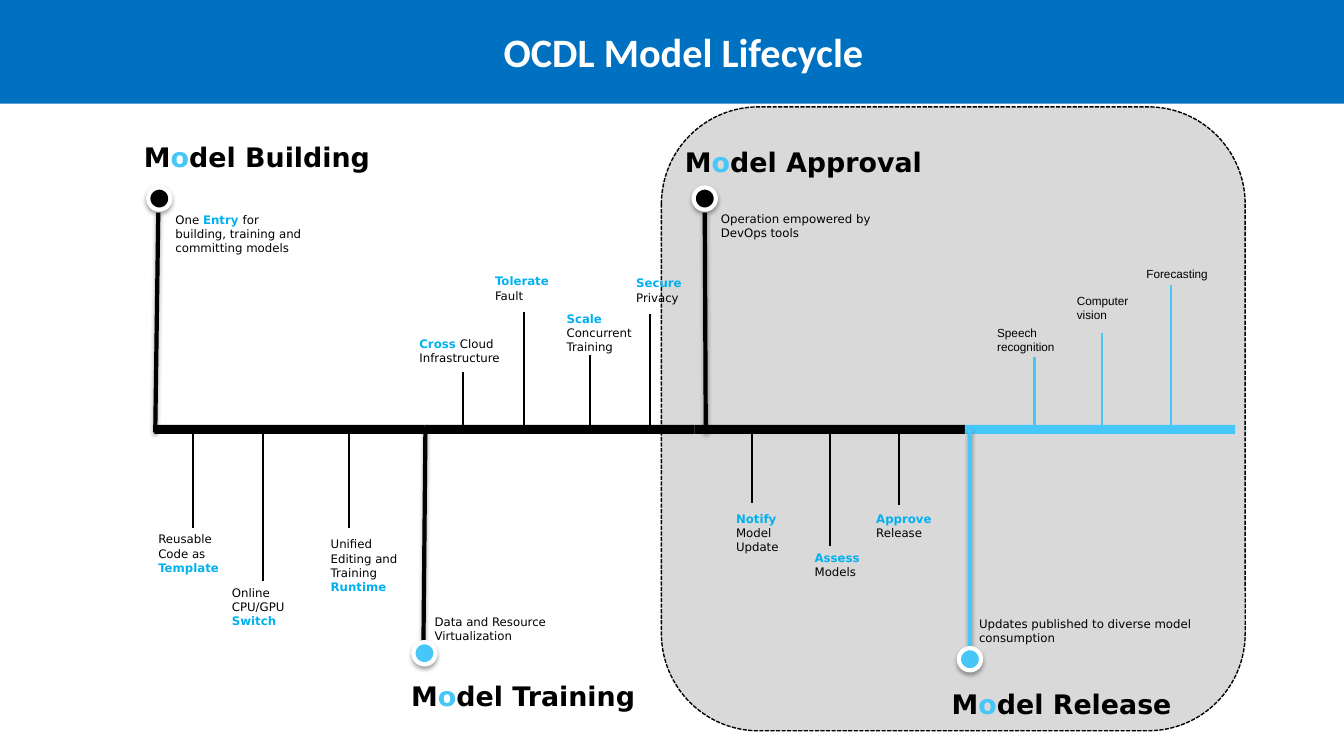
import pptx
import pptx.util
import pptx.dml.color
import pptx.enum.dml
import pptx.enum.shapes
import pptx.enum.text
import pptx.oxml
import pptx.oxml.ns

Inches, Pt = pptx.util.Inches, pptx.util.Pt
SHAPE = pptx.enum.shapes.MSO_SHAPE
ALIGN = pptx.enum.text.PP_ALIGN
BLACK, WHITE, SKY, ACCENT = "000000", "FFFFFF", "47C6F8", "00B0F0"
SANS = "DejaVu Sans"
BAR_H, MARKER = 0.09, 0.22

STAGES = [
    dict(heading="M*o*del Building", heading_at=(1.02, -2.91),
         bar=BLACK, stem=((0.01, 0.03), (0.04, -2.15)),
         marker=BLACK, marker_at=(0.05, -2.29), font=SANS,
         summary=("One *Entry *for building, training and committing models", 0.21, -2.15, 1.36, 0.42),
         branches=[
             (0.38, 0.98, "Reusable Code as *Template*", 0.04, 1.02, 0.76, 0.42),
             (1.08, 1.5, "Online CPU/GPU *Switch*", 0.77, 1.55, 0.62, 0.42),
             (1.93, 0.98, "Unified\nEditing and Training\n*Runtime*", 1.75, 1.07, 0.71, 0.56)]),
    dict(heading="M*o*del Training", heading_at=(0.98, 2.43),
         bar=BLACK, stem=((0.01, -0.03), (-0.01, 2.11)),
         marker=SKY, marker_at=(0, 2.22), font=SANS,
         summary=("Data and Resource\nVirtualization", 0.1, 1.84, 2.51, 0.28),
         branches=[
             (0.38, -0.57, "*Cross *Cloud Infrastructure", -0.05, -0.92, 0.86, 0.28),
             (0.99, -1.16, "*Tolerate *Fault", 0.7, -1.54, 0.61, 0.28),
             (1.64, -0.74, "*Scale *Concurrent Training", 1.41, -1.17, 0.83, 0.42),
             (2.24, -1.14, "*Secure*\nPrivacy", 2.1, -1.52, 0.61, 0.28)]),
    dict(heading="M*o*del Approval", heading_at=(1.08, -2.86),
         bar=BLACK, stem=((0.11, 0.03), (0.1, -2.15)),
         marker=BLACK, marker_at=(0.1, -2.29), font=SANS,
         summary=("Operation empowered by DevOps tools", 0.26, -2.16, 1.84, 0.28),
         branches=[
             (0.57, 0.73, "*Notify*\nModel Update", 0.41, 0.82, 0.68, 0.42),
             (1.34, 1.16, "*Assess*\nModels", 1.19, 1.2, 0.61, 0.28),
             (2.03, 0.75, "*Approve*\nRelease", 1.8, 0.82, 0.61, 0.28)]),
    dict(heading="M*o*del Release", heading_at=(0.96, 2.51),
         bar=SKY, stem=((0.05, 0), (0.05, 2.17)),
         marker=SKY, marker_at=(0.05, 2.28), font="Arial",
         summary=("Updates published to diverse model consumption", 0.14, 1.86, 2.41, 0.28),
         branches=[
             (0.69, -0.72, "Speech recognition", 0.32, -1.03, 0.74, 0.28),
             (1.36, -0.96, "Computer vision", 1.11, -1.35, 0.61, 0.28),
             (2.04, -1.43, "Forecasting", 1.8, -1.61, 0.61, 0.14)]),
]


def rgb(value):
    return pptx.dml.color.RGBColor.from_string(value)


def set_effects(sp, shadow=False):
    effects = pptx.oxml.parse_xml(
        "<a:effectLst %s/>" % pptx.oxml.ns.nsdecls("a") if not shadow else
        '<a:effectLst %s><a:outerShdw blurRad="%d" dist="%d" dir="5400000" rotWithShape="0">'
        '<a:srgbClr val="000000"><a:alpha val="35000"/></a:srgbClr>'
        "</a:outerShdw></a:effectLst>" % (pptx.oxml.ns.nsdecls("a"), Pt(3), Pt(1.8)))
    sp._element.spPr.append(effects)


def add_block(s, kind, x, y, w, h, fill, line=None, width=1, shadow=False):
    sp = s.shapes.add_shape(kind, Inches(x), Inches(y), Inches(w), Inches(h))
    sp.fill.solid()
    sp.fill.fore_color.rgb = rgb(fill)
    if line:
        sp.line.color.rgb = rgb(line)
        sp.line.width = Pt(width)
    else:
        sp.line.fill.background()
    set_effects(sp, shadow)
    return sp


def add_line(s, start, end, color, width, shadow=False):
    x1, y1, x2, y2 = (Inches(v) for v in start + end)
    c = s.shapes.add_connector(pptx.enum.shapes.MSO_CONNECTOR.STRAIGHT, x1, y1, x2, y2)
    c.line.color.rgb = rgb(color)
    c.line.width = Pt(width)
    set_effects(c, shadow)


def add_text(s, text, x, y, w, h, size=8.4, font=SANS, color=BLACK, accent=ACCENT,
             bold=False, align=ALIGN.LEFT, inset=0):
    tf = s.shapes.add_textbox(Inches(x), Inches(y), Inches(w), Inches(h)).text_frame
    tf.word_wrap = True
    tf.margin_left = tf.margin_right = tf.margin_top = tf.margin_bottom = Inches(inset)
    for i, line in enumerate(text.split("\n")):
        p = tf.add_paragraph() if i else tf.paragraphs[0]
        p.alignment = align
        for j, part in enumerate(line.split("*")):
            if not part:
                continue
            marked = j % 2 == 1
            r = p.add_run()
            r.text = part
            r.font.size = Pt(size)
            r.font.name = font
            r.font.bold = bold or marked
            r.font.color.rgb = rgb(accent if marked else color)


def add_header(s, x, y, w, h):
    add_block(s, SHAPE.RECTANGLE, x, y, w, h, "0070C0")
    add_text(s, "OCDL Model Lifecycle", x + 2.67, y + 0.21, 8.22, 0.61, size=28.8,
             font="Calibri", color=WHITE, bold=True, align=ALIGN.CENTER, inset=0.06)


def add_release_panel(s, x, y, w, h):
    panel = add_block(s, SHAPE.ROUNDED_RECTANGLE, x, y, w, h, "D9D9D9", BLACK)
    panel.line.dash_style = pptx.enum.dml.MSO_LINE.SQUARE_DOT


def add_stage(s, x, y, w, stage):
    def at(point):
        return x + point[0], y + point[1]

    add_block(s, SHAPE.RECTANGLE, x, y - BAR_H / 2, w, BAR_H, stage["bar"])
    root, tip = stage["stem"]
    add_line(s, at(root), at(tip), stage["bar"], 3, shadow=True)
    mx, my = at(stage["marker_at"])
    add_block(s, SHAPE.OVAL, mx - MARKER / 2, my - MARKER / 2, MARKER, MARKER,
              stage["marker"], WHITE, 3, shadow=True)
    hx, hy = at(stage["heading_at"])
    add_text(s, stage["heading"], hx - 1.35, hy, 2.7, 0.42, size=19.2, accent=SKY,
             bold=True, align=ALIGN.CENTER, inset=0.05)
    text, dx, dy, tw, th = stage["summary"]
    add_text(s, text, x + dx, y + dy, tw, th)
    for line_dx, reach, text, dx, dy, tw, th in stage["branches"]:
        add_line(s, at((line_dx, 0)), at((line_dx, reach)), stage["bar"], 1.5)
        add_text(s, text, x + dx, y + dy, tw, th, font=stage["font"])


def main():
    prs = pptx.Presentation()
    prs.slide_width, prs.slide_height = Inches(13.33), Inches(7.5)
    s = prs.slides.add_slide(prs.slide_layouts[6])
    add_header(s, 0, 0, 13.33, 1.03)
    add_release_panel(s, 6.56, 1.06, 5.79, 6.19)
    stage_w = 2.68
    for i, stage in enumerate(STAGES):
        add_stage(s, 1.53 + i * stage_w, 4.26, stage_w, stage)
    prs.save("out.pptx")


if __name__ == "__main__":
    main()
